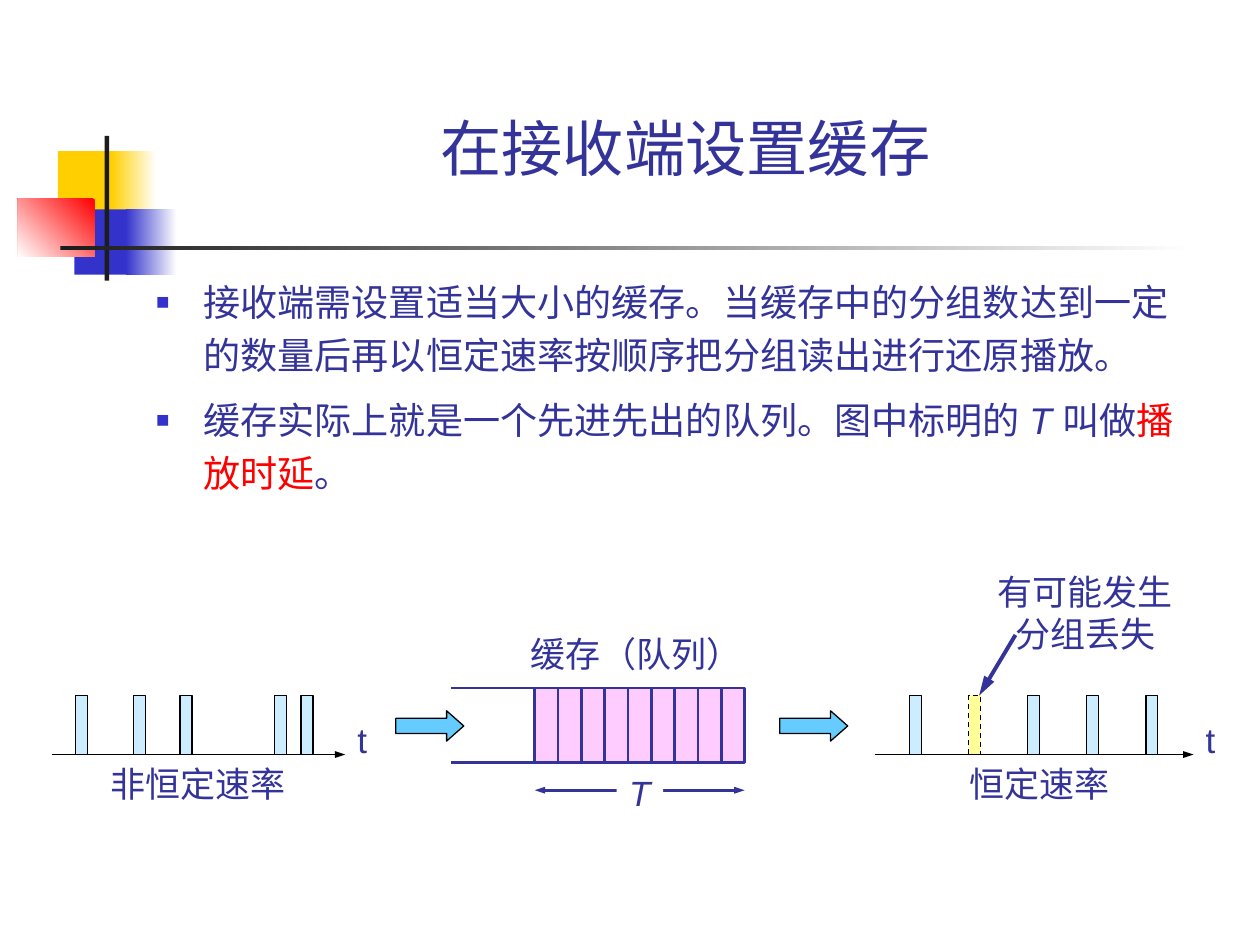
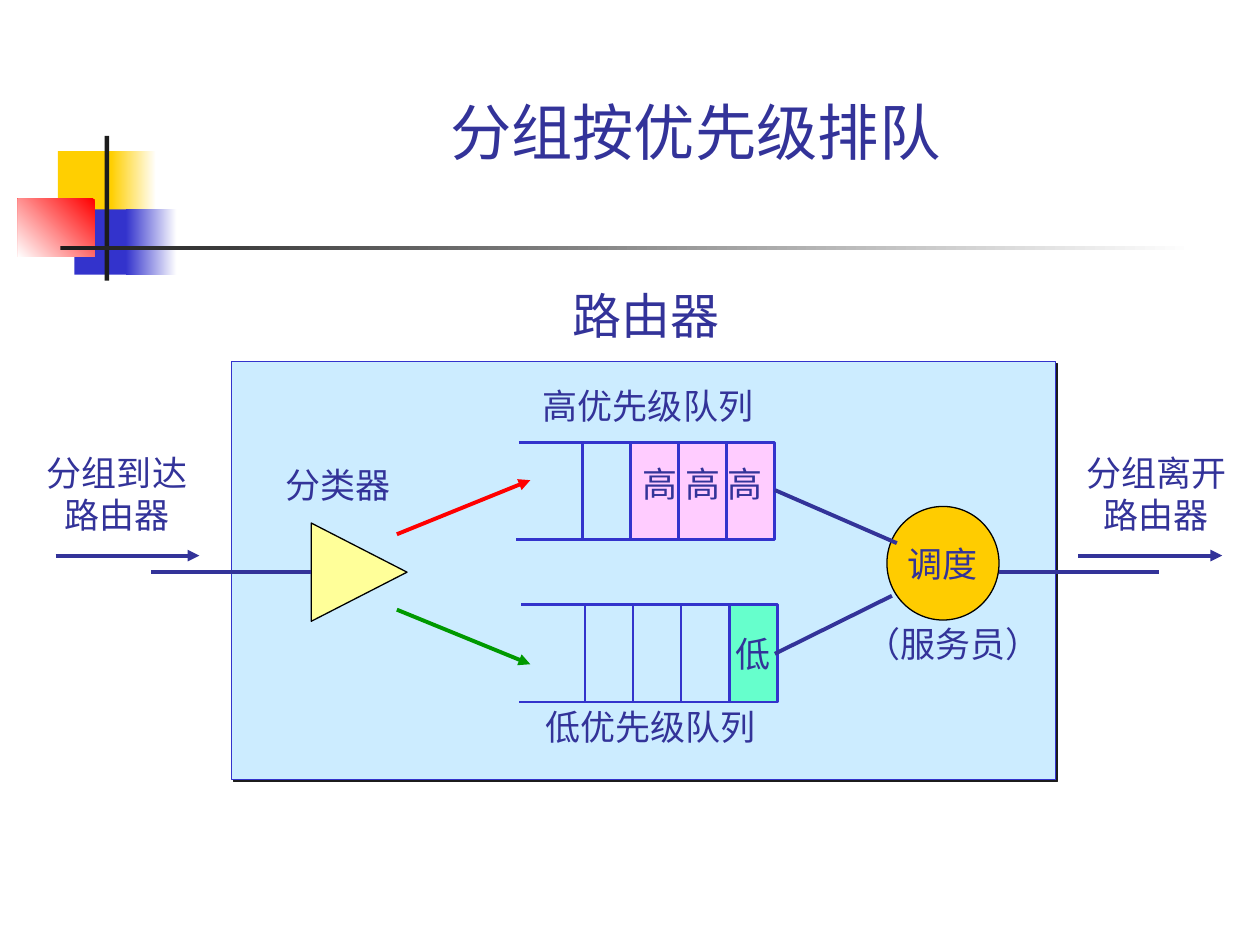
from dataclasses import dataclass

from lxml.etree import SubElement
from pptx import Presentation
from pptx.dml.color import RGBColor
from pptx.enum.dml import MSO_LINE
from pptx.enum.shapes import MSO_CONNECTOR, MSO_SHAPE
from pptx.enum.text import MSO_ANCHOR, PP_ALIGN
from pptx.oxml.ns import qn
from pptx.util import Cm, Pt


@dataclass(frozen=True)
class Theme:
    """Colours, fonts and type sizes of the deck."""
    ink: str = "333399"
    blue: str = "3333CC"
    dark: str = "1C1C1C"
    black: str = "000000"
    white: str = "FFFFFF"
    gold: str = "FFCF01"
    amber: str = "FFCC00"
    red: str = "FF0000"
    green: str = "009900"
    pink: str = "FFCCFF"
    mint: str = "66FFCC"
    pale: str = "CCECFF"
    sky: str = "66CCFF"
    yellow: str = "FFFF99"
    font: str = "Arial"
    head: str = "Noto Sans CJK SC"
    title: float = 35
    sub: float = 28
    body: float = 21.2
    label: float = 20
    thin: float = 0.75
    mid: float = 1.5
    thick: float = 2.25


T = Theme()


def rgb(code):
    """Return the colour of a hex code."""
    return RGBColor.from_string(code)


def add_run(para, text, size=T.label, color=T.ink, font=T.font, italic=False):
    """Add one styled run to a paragraph."""
    run = para.add_run()
    run.text = text
    run.font.size, run.font.name, run.font.italic = Pt(size), font, italic
    run.font.color.rgb = rgb(color)


def write(frame, text, **style):
    """Fill a frame with centred lines."""
    for i, line in enumerate(text.split("\n")):
        para = frame.add_paragraph() if i else frame.paragraphs[0]
        para.alignment = PP_ALIGN.CENTER
        add_run(para, line, **style)


def label(slide, box, text, **style):
    """Place a label that uses the full width of its box."""
    item = slide.shapes.add_textbox(*map(Cm, box))
    frame = item.text_frame
    frame.word_wrap = False
    frame.margin_left = frame.margin_right = 0
    write(frame, text, **style)
    return item


def paint(shape, fill=None, line=None, width=T.thin):
    """Set the fill and outline of a shape, without shadow."""
    shape.shadow.inherit = False
    if fill:
        shape.fill.solid()
        shape.fill.fore_color.rgb = rgb(fill)
    else:
        shape.fill.background()
    if line:
        shape.line.color.rgb = rgb(line)
        shape.line.width = Pt(width)
    else:
        shape.line.fill.background()
    return shape


def block(slide, box, fill, line=None, kind=MSO_SHAPE.RECTANGLE):
    """Place a preset shape."""
    return paint(slide.shapes.add_shape(kind, *map(Cm, box)), fill, line)


def fade(slide, box, color, angle=0):
    """Place a box that fades from a colour to white."""
    fill = block(slide, box, color).fill
    fill.gradient()
    fill.gradient_angle = angle
    for stop, code in zip(fill.gradient_stops, (color, T.white)):
        stop.color.rgb = rgb(code)


def trace(slide, points, fill, line, width):
    """Draw an open outline through points."""
    first, *rest = [(Cm(x), Cm(y)) for x, y in points]
    pen = slide.shapes.build_freeform(*first)
    pen.add_line_segments(rest, close=False)
    return paint(pen.convert_to_shape(), fill, line, width)


def link(slide, start, end, color=T.ink, width=T.thick, tips=(), wide="med", long="med"):
    """Draw a straight line with arrowheads at the given tips."""
    item = slide.shapes.add_connector(MSO_CONNECTOR.STRAIGHT, *map(Cm, start + end))
    item.line.color.rgb = rgb(color)
    item.line.width = Pt(width)
    for tip in tips:
        SubElement(item.line._get_or_add_ln(), qn(f"a:{tip}"),
                   type="triangle", w=wide, len=long)
    SubElement(item._element.spPr, qn("a:effectLst"))


def motif(slide):
    """Draw the coloured squares and rules beside the title."""
    block(slide, (1.17, 3.05, 1.22, 1.32), T.gold)
    fade(slide, (2.24, 3.05, 0.91, 1.32), T.gold)
    block(slide, (1.5, 4.22, 1.17, 1.32), T.blue)
    fade(slide, (2.54, 4.22, 1.02, 1.32), T.blue)
    fade(slide, (0.36, 4.01, 1.55, 1.17), T.red, 225)
    block(slide, (2.11, 2.74, 0.09, 2.92), T.dark)
    fade(slide, (1.22, 4.95, 22.86, 0.09), T.dark)


def start(deck, box, text):
    """Add a slide with the motif and its title."""
    slide = deck.slides.add_slide(deck.slide_layouts[6])
    motif(slide)
    frame = slide.shapes.add_textbox(*map(Cm, box)).text_frame
    frame.word_wrap = True
    frame.vertical_anchor = MSO_ANCHOR.BOTTOM
    write(frame, text, size=T.title, font=T.head)
    return slide


def points(slide, box, items):
    """Write bulleted paragraphs, each a list of runs."""
    frame = slide.shapes.add_textbox(*map(Cm, box)).text_frame
    frame.word_wrap = True
    for i, runs in enumerate(items):
        para = frame.add_paragraph() if i else frame.paragraphs[0]
        para.line_spacing = 1.2
        para.space_before = Pt(6.2 if i else 0)
        props = para._p.get_or_add_pPr()
        props.set("marL", str(Cm(0.95)))
        props.set("indent", str(Cm(-0.95)))
        SubElement(SubElement(props, qn("a:buClr")), qn("a:srgbClr"), val=T.blue)
        SubElement(props, qn("a:buSzPct"), val="60000")
        SubElement(props, qn("a:buFont"), typeface=T.font)
        SubElement(props, qn("a:buChar"), char="■")
        for text, style in runs:
            add_run(para, text, size=T.body, **style)


def pulses(slide, box, steps, text, lost=None, shift=0):
    """Draw packets on a time axis with a label below."""
    x, y, w, h = box
    base = y + h
    link(slide, (x, base), (x + w, base), T.black, T.thin, ["tailEnd"], "sm")
    for i, step in enumerate(steps):
        a, b = x + step, x + step + 0.24
        fill = T.yellow if i == lost else T.pale
        bar = trace(slide, [(a, base), (a, y), (b, y), (b, base)], fill, T.black, T.thin)
        if i == lost:
            bar.line.dash_style = MSO_LINE.DASH
    label(slide, (x + w, y + 0.33, 0.69, 1.12), "t")
    label(slide, (x + w / 2 - 2 + shift, base + 0.03, 4, 1.12), text)


def buffer(slide, box):
    """Draw the buffer with its nine cells and the delay T."""
    x, y, w, h = box
    right, low, cell, count = x + w, y + h, 0.47, 9
    left = right - count * cell
    block(slide, (left, y, count * cell, h), T.pink)
    link(slide, (left, low + 0.56), (right, low + 0.56), T.ink, T.mid,
         ["headEnd", "tailEnd"], "sm")
    paint(label(slide, (left + 1.65, low + 0.05, 0.94, 1.12), "T", italic=True), T.white)
    trace(slide, [(x, y), (right, y), (right, low), (x, low)], None, T.ink, T.mid)
    for i in range(count):
        a = left + i * cell
        link(slide, (a, y), (a, low), T.ink, T.mid)
    label(slide, (left - 0.33, y - 1.25, 4.75, 1.12), "缓存（队列）")


def feed(slide, box):
    """Draw a block arrow between two stages."""
    arrow = block(slide, box, T.sky, T.black, MSO_SHAPE.RIGHT_ARROW)
    arrow.adjustments[0], arrow.adjustments[1] = 0.5, 0.566


def loss(slide, box):
    """Write the packet loss remark and point at the lost packet."""
    x, y, w, h = box
    label(slide, box, "有可能发生\n分组丢失")
    link(slide, (x + 0.61, y + 1.42), (x - 0.12, y + 2.64), tips=["tailEnd"], long="lg")


def queue(slide, box, name, rise, full, color, text, drop):
    """Draw a queue whose last cells are full."""
    x, y, w, h = box
    right, low, cell = x + w, y + h, 0.97
    left = right - full * cell
    block(slide, (left, y, full * cell, h), color)
    trace(slide, [(x + 0.05, y), (right, y), (right, low), (x, low)], None, T.blue, T.mid)
    for i in range(1, 5):
        a = right - i * cell
        link(slide, (a, y), (a, low), T.blue, T.mid)
    label(slide, (x + 0.28, y + rise, 4.75, 1.12), name)
    label(slide, (left, y + drop, full * cell, 1.12), text)


def flow(slide, box, text, shift):
    """Draw an arrow for packets with a label above it."""
    x, y, w, h = box
    label(slide, (x + shift - 0.2, y, w + 0.4, h), text)
    link(slide, (x, y + 2.23), (x + w, y + 2.23), tips=["tailEnd"])


def router(slide, box):
    """Draw the router: sorter, two queues and server."""
    x, y, w, h = box

    def at(dx, dy, *size):
        """Shift a place or box into the router."""
        return (x + dx, y + dy, *size)

    case = block(slide, box, T.pale, T.blue)
    cast = SubElement(case._element.spPr.find(qn("a:effectLst")), qn("a:outerShdw"),
                      dist=str(Pt(1.4)), dir="2700000", algn="ctr", rotWithShape="0")
    SubElement(cast, qn("a:srgbClr"), val=T.dark)
    label(slide, at(6.63, -1.65, 3.45, 1.45), "路由器", size=T.sub)
    queue(slide, at(5.74, 1.63, 5.21, 1.96), "高优先级队列", -1.3, 3, T.pink, "高 高 高", 0.27)
    queue(slide, at(5.79, 4.9, 5.21, 1.96), "低优先级队列", 1.91, 1, T.mint, "低", 0.43)
    block(slide, at(1.58, 3.28, 1.98, 1.93), T.yellow, T.black,
          MSO_SHAPE.ISOSCELES_TRIANGLE).rotation = 90
    label(slide, at(0.84, 1.93, 2.62, 1.12), "分类器")
    link(slide, at(3.33, 3.48), at(6.02, 2.39), T.red, tips=["tailEnd"])
    link(slide, at(3.33, 5), at(6.02, 6.1), T.green, tips=["tailEnd"])
    server = block(slide, at(13.21, 2.92, 2.26, 2.29), T.amber, T.black, MSO_SHAPE.OVAL)
    server.text_frame.word_wrap = False
    server.text_frame.vertical_anchor = MSO_ANCHOR.MIDDLE
    write(server.text_frame, "调度")
    label(slide, at(12.53, 5.13, 4.04, 1.12), "（服务员）")
    link(slide, at(10.95, 2.59), at(13.41, 3.66))
    link(slide, at(10.95, 5.89), at(13.31, 4.72))
    for a, b in ((-1.62, 1.6), (15.47, 18.7)):
        link(slide, at(a, 4.24), at(b, 4.24))


def delay(deck):
    """Build the slide on buffering at the receiver."""
    slide = start(deck, (3, 0.58, 21.64, 3.25), "在接收端设置缓存")
    points(slide, (2.9, 5.33, 21.59, 5), [
        [("接收端需设置适当大小的缓存。当缓存中的分组数达到一定的数量后"
          "再以恒定速率按顺序把分组读出进行还原播放。", {})],
        [("缓存实际上就是一个先进先出的队列。图中标明的 ", {}), ("T ", {"italic": True}),
         ("叫做", {}), ("播放时延", {"color": T.red}), ("。", {})],
    ])
    pulses(slide, (1.04, 14.02, 5.92, 1.19), (0.48, 1.65, 2.59, 4.5, 5.03), "非恒定速率")
    buffer(slide, (9.09, 13.87, 5.92, 1.5))
    even = [0.71 + 1.19 * i for i in range(5)]
    pulses(slide, (17.63, 14.02, 6.43, 1.19), even, "恒定速率", 1, 0.12)
    for x in (7.98, 15.72):
        feed(slide, (x, 14.33, 1.37, 0.61))
    loss(slide, (19.86, 11.38, 4.04, 1.96))


def ranks(deck):
    """Build the slide on queueing by priority."""
    slide = start(deck, (3.2, 0.58, 21.64, 2.92), "分组按优先级排队")
    router(slide, (4.67, 7.29, 16.61, 8.43))
    flow(slide, (1.12, 8.97, 2.9, 1.96), "分组到达\n路由器", -0.21)
    flow(slide, (21.74, 8.97, 2.9, 1.96), "分组离开\n路由器", 0.12)


def main():
    """Build and save the deck."""
    deck = Presentation()
    deck.slide_width, deck.slide_height = Cm(25.4), Cm(19.05)
    delay(deck)
    ranks(deck)
    deck.save("out.pptx")


if __name__ == "__main__":
    main()
